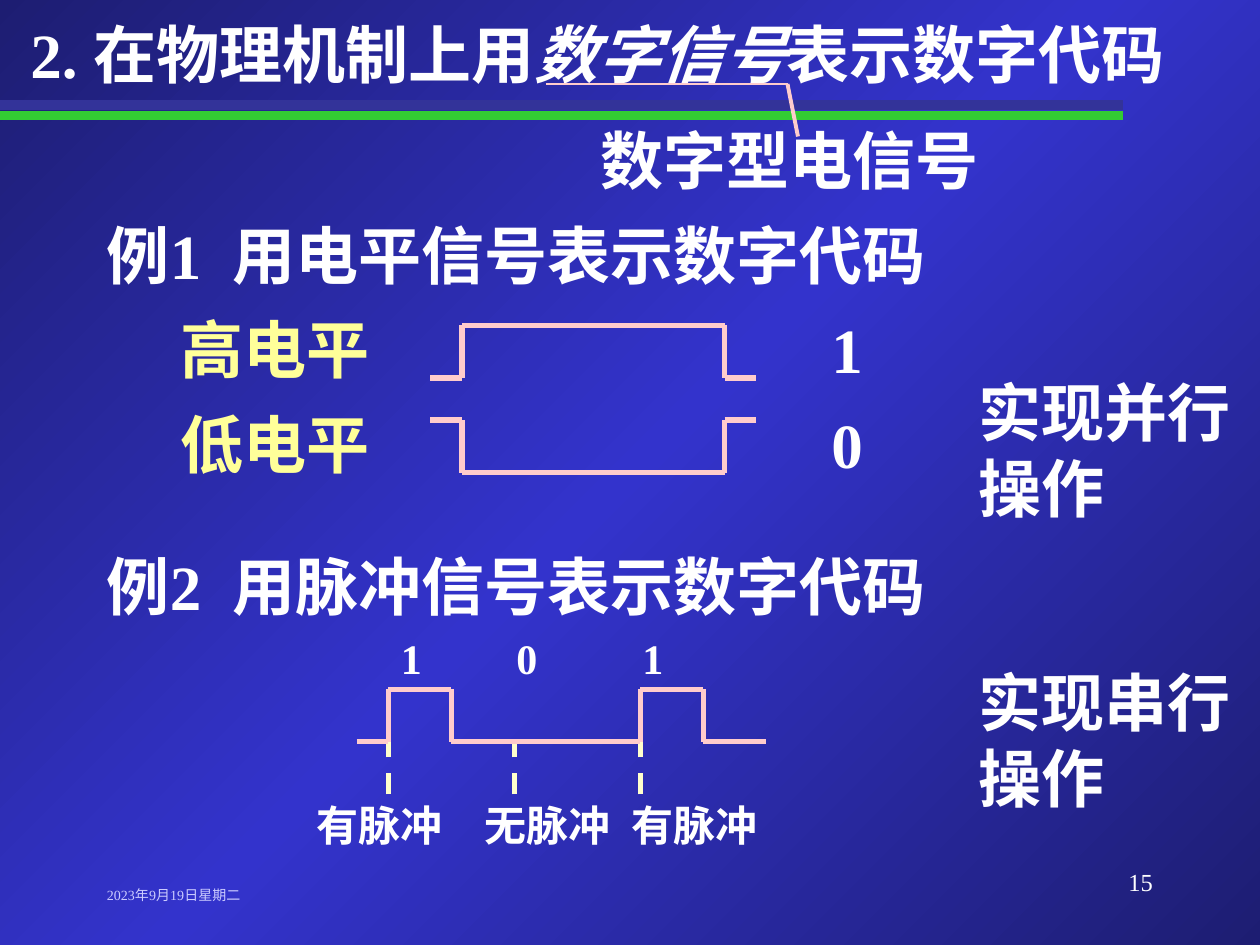
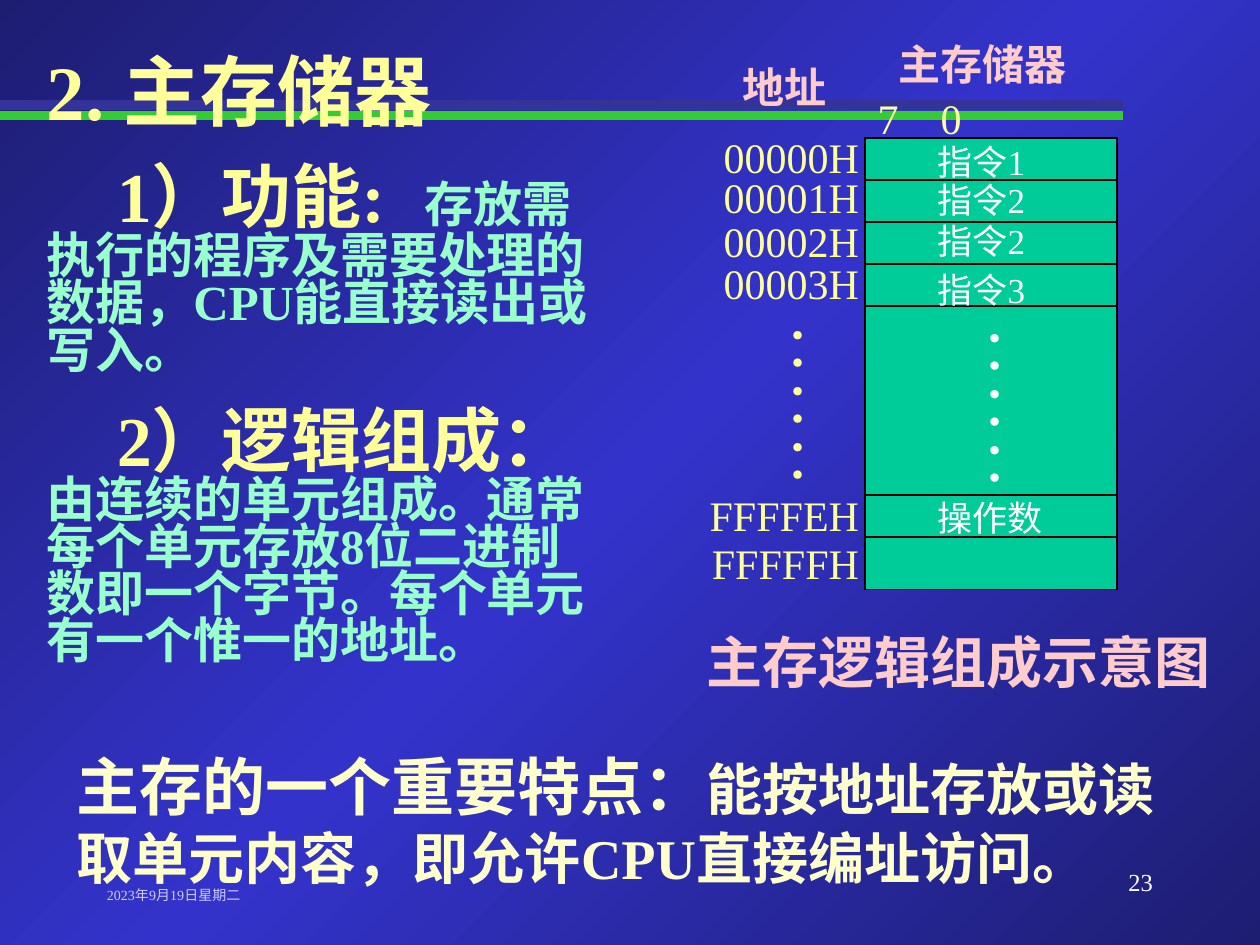
"""Build two slides on digital signals and main memory."""
from copy import deepcopy
from itertools import pairwise

from lxml.etree import SubElement
from pptx import Presentation
from pptx.dml.color import RGBColor
from pptx.enum.dml import MSO_LINE
from pptx.enum.shapes import MSO_CONNECTOR, MSO_SHAPE
from pptx.enum.text import MSO_ANCHOR, MSO_AUTO_SIZE, PP_ALIGN
from pptx.oxml.ns import qn
from pptx.util import Inches, Pt

NAVY = RGBColor(0x1D, 0x1D, 0x72)
BLUE = RGBColor(0x33, 0x33, 0xCC)
DUSK = RGBColor(0x33, 0x33, 0x99)
GREEN = RGBColor(0x33, 0xCC, 0x33)
TEAL = RGBColor(0x00, 0xCC, 0x99)
MINT = RGBColor(0x99, 0xFF, 0xCC)
PINK = RGBColor(0xFF, 0xCC, 0xCC)
YELLOW = RGBColor(0xFF, 0xFF, 0x99)
CREAM = RGBColor(0xFF, 0xFF, 0xCC)
LILAC = RGBColor(0xCC, 0xCC, 0xFF)
WHITE = RGBColor(0xFF, 0xFF, 0xFF)
BLACK = RGBColor(0, 0, 0)
FACE = "Times New Roman"
COLS, ROWS = 120, 90
TITLED, LISTED = 5, 1


class Deck:
    """Holds the style, the grid and the current slide."""

    def __init__(self):
        self.show = Presentation()
        self.show.slide_width, self.show.slide_height = Inches(10), Inches(7.5)
        self.slide = None
        self.paint()

    def paint(self):
        master = self.show.slide_master
        fill = master.background.fill
        fill.gradient()
        fill.gradient_angle = 315
        stops = master.element.find(".//" + qn("a:gsLst"))
        stops.insert(1, deepcopy(stops[0]))
        for stop, color, place in zip(fill.gradient_stops, (NAVY, BLUE, NAVY), (0, 0.5, 1)):
            stop.color.rgb = color
            stop.position = place

    def x(self, cols):
        return round(self.show.slide_width * cols / COLS)

    def y(self, rows):
        return round(self.show.slide_height * rows / ROWS)

    def start(self, layout, number):
        self.slide = self.show.slides.add_slide(self.show.slide_layouts[layout])
        for row, color in ((10, DUSK), (11, GREEN)):
            for band in self.trace([(0, row), (107, row)], color, 5.5):
                band.getparent().insert(2, band)
        self.text("2023年9月19日星期二", 9, 83.8, 27.4, 8, LILAC, bold=False)
        self.text(number, 86, 82, 25, 14, bold=False, align=PP_ALIGN.RIGHT)

    def trace(self, points, color=PINK, width=3, dash=None):
        parts = []
        for (left, top), (right, base) in pairwise(points):
            part = self.slide.shapes.add_connector(
                MSO_CONNECTOR.STRAIGHT, self.x(left), self.y(top), self.x(right), self.y(base))
            part.line.color.rgb = color
            part.line.width = Pt(width)
            if dash:
                part.line.dash_style = dash
            SubElement(part._element.spPr, qn("a:effectLst"))
            parts.append(part._element)
        return parts

    def block(self, left, top, width, height, color):
        shape = self.slide.shapes.add_shape(
            MSO_SHAPE.RECTANGLE, self.x(left), self.y(top), self.x(width), self.y(height))
        shape.shadow.inherit = False
        shape.fill.solid()
        shape.fill.fore_color.rgb = color
        shape.line.color.rgb = BLACK
        shape.line.width = Pt(1)

    def put(self, para, runs, size, color=WHITE, bold=True, align=PP_ALIGN.LEFT,
            tab=None, side="l", indent=0):
        props = para._p.get_or_add_pPr()
        props.set("marL", "0")
        props.set("indent", str(self.x(indent)))
        SubElement(props, qn("a:buNone"))
        if tab:
            tabs = SubElement(props, qn("a:tabLst"))
            SubElement(tabs, qn("a:tab"), pos=str(self.x(tab)), algn=side)
        para.alignment = align
        para.space_before = Pt(0)
        font = para.font
        font.name, font.size, font.bold = FACE, Pt(size), bold
        font.color.rgb = color
        for words, style in [(runs, {})] if isinstance(runs, str) else runs:
            run = para.add_run()
            run.text = words
            if "size" in style:
                run.font.size = Pt(style["size"])
            if "color" in style:
                run.font.color.rgb = style["color"]
            if "slant" in style:
                run.font.italic = True

    def frame(self, shape):
        frame = shape.text_frame
        frame.word_wrap = True
        frame.auto_size = MSO_AUTO_SIZE.NONE
        frame.vertical_anchor = MSO_ANCHOR.TOP
        return frame

    def text(self, runs, left, top, width, size, color=WHITE, height=None, turn=None, **style):
        box = self.slide.shapes.add_textbox(
            self.x(left), self.y(top), self.x(width), self.y(height or size / 5 + 1.2))
        frame = self.frame(box)
        if turn:
            frame._txBody.bodyPr.set("vert", turn)
        self.put(frame.paragraphs[0], runs, size, color, **style)

    def holder(self, index, left, top, width, height):
        shape = self.slide.placeholders[index]
        shape.left, shape.top = self.x(left), self.y(top)
        shape.width, shape.height = self.x(width), self.y(height)
        return self.frame(shape)

    def title(self, runs, left, top, width, size, color=WHITE, pitch=1.0):
        para = self.holder(0, left, top, width, size / 5 + 1.2).paragraphs[0]
        self.put(para, runs, size, color)
        para.line_spacing = pitch

    def body(self, items, left, top, width, height, size, color, **style):
        frame = self.holder(1, left, top, width, height)
        for rank, runs in enumerate(items):
            para = frame.add_paragraph() if rank else frame.paragraphs[0]
            self.put(para, runs, size, color, **style)
            para.line_spacing = 0.8
            para.space_before = Pt(20 if rank else 0)


def signals(deck):
    deck.start(TITLED, "15")
    deck.title([("2. 在物理机制上用", {}), ("数字信号", {"slant": True}), ("表示数字代码", {})],
               1.7, 0.84, 118, 36)
    deck.trace([(52, 8), (75, 8)], width=1.5)
    deck.trace([(75, 8), (76, 13)], width=2.25)
    deck.text("数字型电信号", 56, 11, 47, 36)
    for words, row in (("例1\t用电平信号表示数字代码", 20), ("例2\t用脉冲信号表示数字代码", 51.6)):
        deck.text(words, 9, row, 94, 36, tab=15)
    for name, digit, row, rest, peak in (("高电平", "1", 29, 36, 31), ("低电平", "0", 38, 40, 45)):
        deck.text(name, 16, row, 31, 36, YELLOW)
        deck.text(digit, 78, row, 16, 36)
        deck.trace([(41, rest), (44, rest), (44, peak), (69, peak), (69, rest), (72, rest)])
    for words, row in (("实现并行操作", 35), ("实现串行操作", 62.6)):
        deck.text(words, 92, row, 28, 36, height=15.6)

    low, high = 70.65, 65.65
    for tick in (37, 49, 61):
        deck.trace([(tick, low + 5), (tick, low)], CREAM, dash=MSO_LINE.DASH)
    deck.trace([(34, low), (37, low), (37, high), (43, high), (43, low), (61, low),
                (61, high), (67, high), (67, low), (73, low)])
    for digit, col, name, left in (("1", 37, "有脉冲", 29), ("0", 48, "无脉冲", 45),
                                   ("1", 60, "有脉冲", 59)):
        deck.text(digit, col, 59.65, 9, 24)
        deck.text(name, left, 75.6, 19, 24)


def memory(deck):
    deck.start(LISTED, "23")
    deck.title("2. 主存储器", 3.24, 5.28, 55.8, 44, YELLOW, 0.8)
    small = {"size": 28, "color": MINT}
    deck.body([
        [("1）功能:\t", {}), ("存放需执行的程序及需要处理的数据，CPU能直接读出或写入。", small)],
        [("2）逻辑组成：", {}),
         ("由连续的单元组成。通常每个单元存放8位二进制数即一个字节。每个单元有一个惟一的地址。", small)],
    ], 3.24, 15.5, 55.8, 49, 40, YELLOW, tab=40.4, indent=6.7)

    left, top, width = 82.4, 13.15, 24
    deck.block(left, top, width, 43, TEAL)
    for step in (4, 8, 12, 16, 34, 38):
        deck.trace([(left, top + step), (left + width, top + step)], BLACK, 1)
    for code, row in (("00000H", 11.9), ("00001H", 15.7), ("00002H", 19.9),
                      ("00003H", 23.9), ("FFFFEH", 46), ("FFFFFH", 50.6)):
        deck.text(code, 65, row, 18, 24, YELLOW, bold=False, align=PP_ALIGN.RIGHT)
    for name, row in (("指令1", 12.8), ("指令2", 16.4), ("指令2", 20.3),
                      ("指令3", 25), ("操作数", 46.7)):
        deck.text(name, 88.1, row, 15, 20, bold=False)
    for col, row, color in ((69.6, 29.8, YELLOW), (88.4, 30.1, WHITE)):
        deck.text("：：：", col, row, 8.8, 32, color, height=21, turn="eaVert", bold=False)
    deck.text("地址", 69.5, 5.3, 14, 24, PINK)
    deck.text("主存储器", 84.4, 3.1, 24, 24, PINK)
    deck.text("7\t0", left, 8.2, 27, 24, YELLOW, bold=False, tab=22, side="r")
    deck.text("主存逻辑组成示意图", 66.1, 59.2, 53.9, 32, PINK)
    deck.text([("主存的一个重要特点：", {}),
               ("能按地址存放或读取单元内容，即允许CPU直接编址访问。", {"size": 32})],
              6.1, 70.6, 106.8, 36, CREAM, height=14.8)


def main():
    deck = Deck()
    signals(deck)
    memory(deck)
    deck.show.save("out.pptx")


if __name__ == "__main__":
    main()
